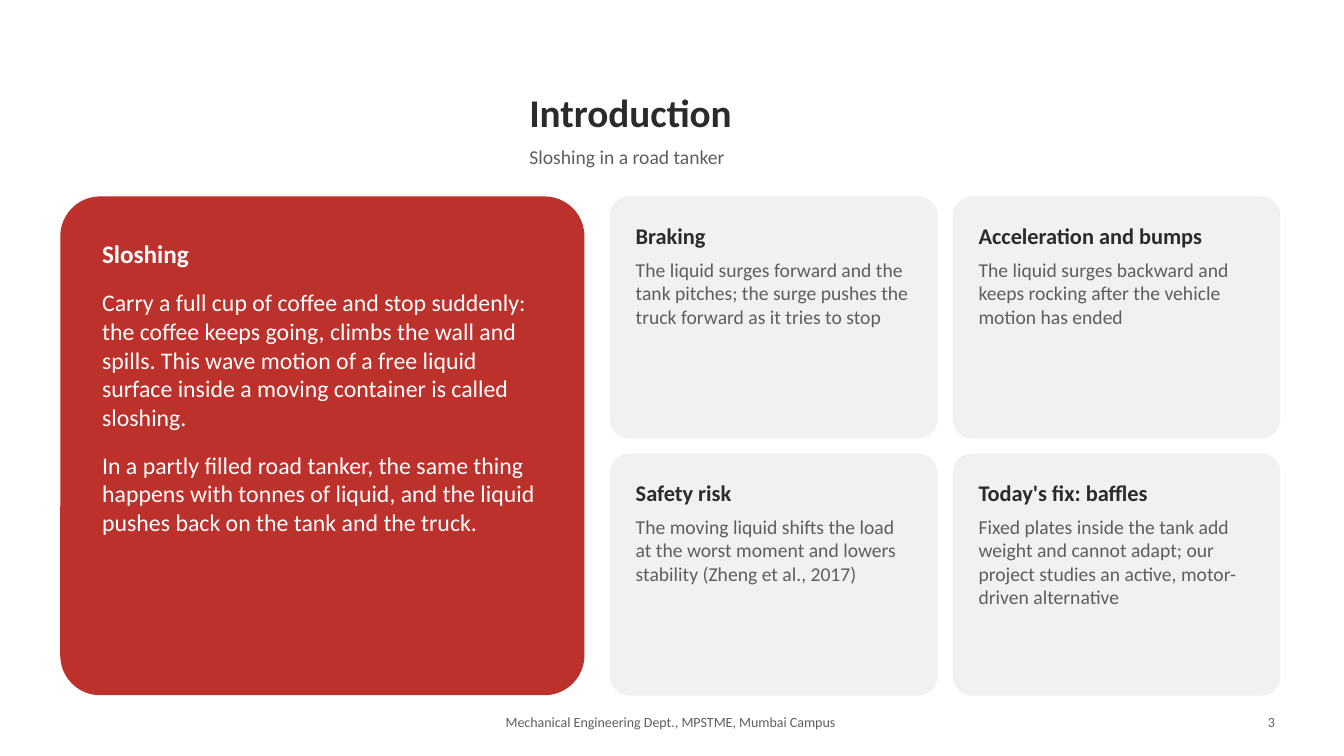
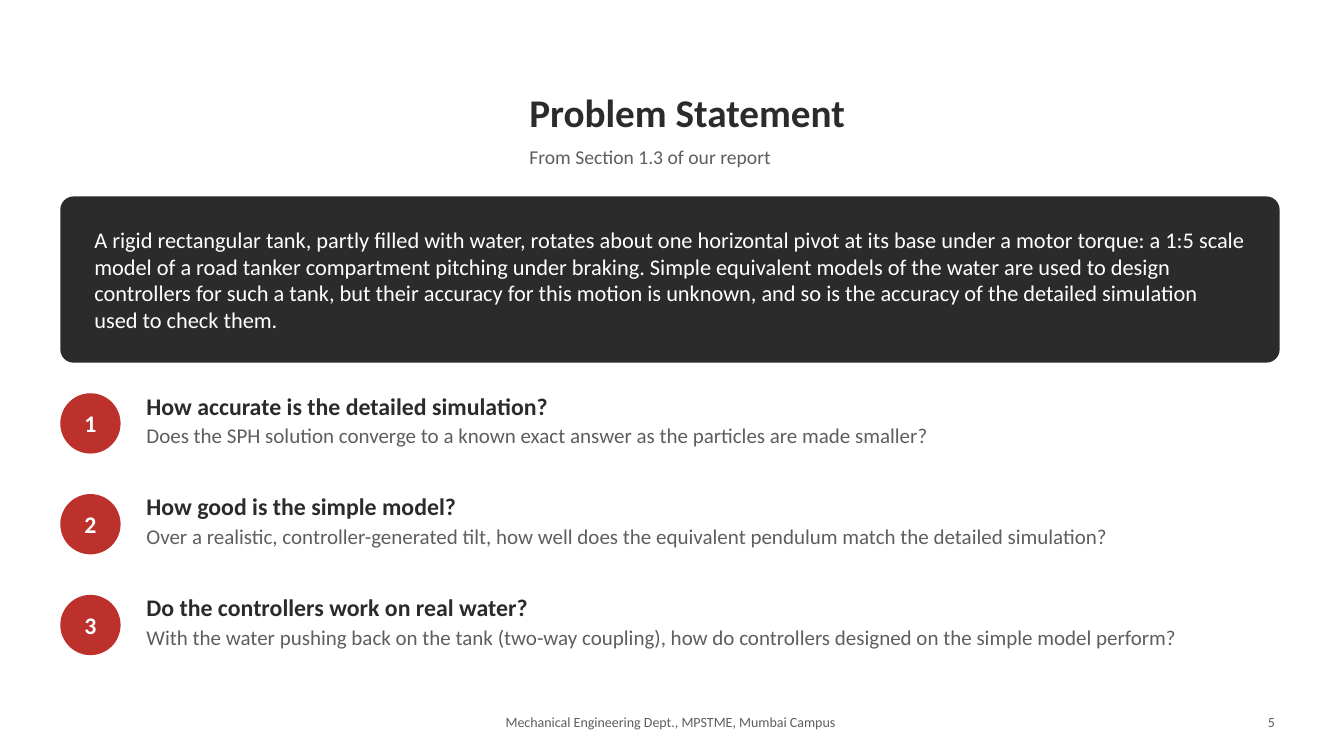
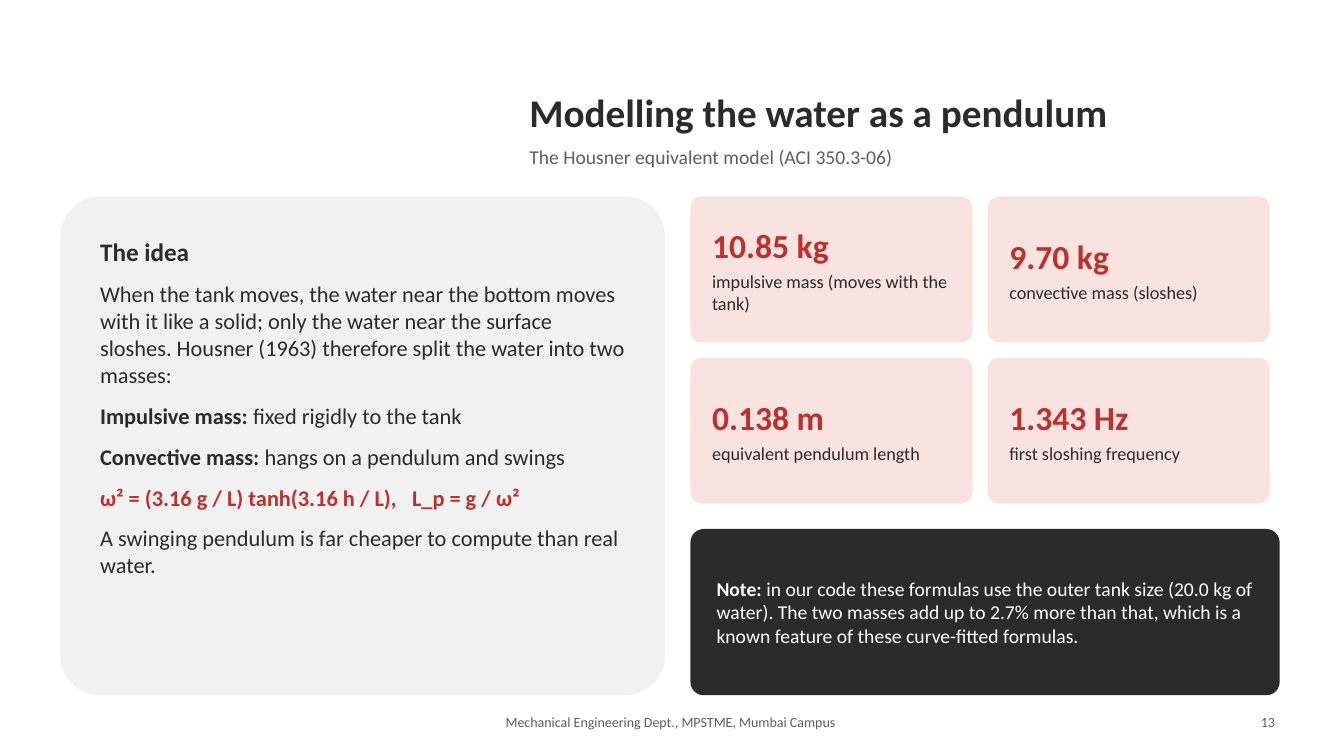
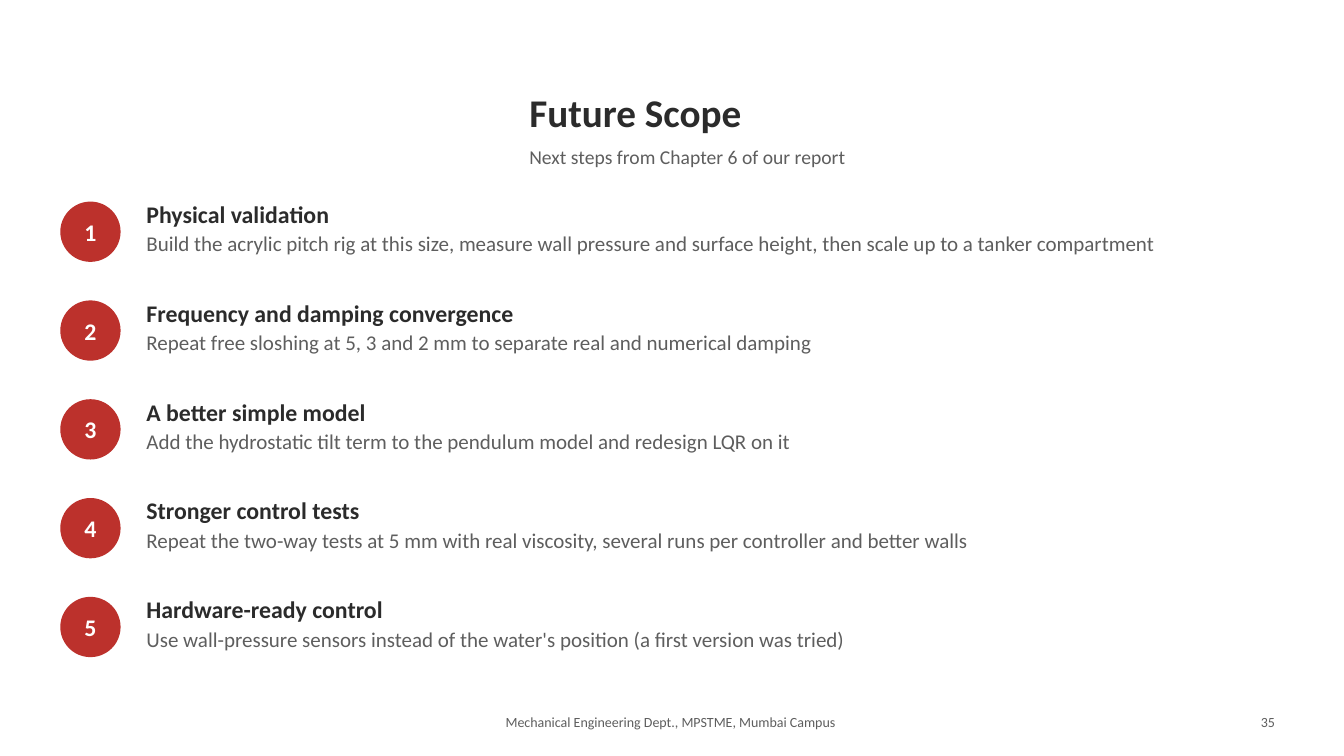
from lxml import etree
from pptx import Presentation
from pptx.dml.color import RGBColor
from pptx.enum.shapes import MSO_SHAPE as SHAPE
from pptx.enum.text import MSO_ANCHOR as ANCHOR, MSO_AUTO_SIZE as AUTO, PP_ALIGN as ALIGN
from pptx.oxml.ns import qn
from pptx.util import Cm, Pt

# Shared look
FONT = "Calibri"
RED = RGBColor(0xBC, 0x31, 0x2C)
PINK = RGBColor(0xF8, 0xE3, 0xE1)
DARK = RGBColor(0x2B, 0x2B, 0x2B)
GREY = RGBColor(0x5E, 0x5E, 0x5E)
LIGHT = RGBColor(0xF1, 0xF1, 0xF1)
WHITE = RGBColor(0xFF, 0xFF, 0xFF)
FOOTER = "Mechanical Engineering Dept., MPSTME, Mumbai Campus"

# Shared layout, in centimetres
LEFT, TOP = 1.52, 4.95
WIDTH, HEIGHT = 30.73, 12.57
TITLE_LEFT, TITLE_WIDTH = 13.21, 19.69
GAP = 0.38
BANNER_HEIGHT = 4.19
CIRCLE = 1.52


# Text
def add_text(tf, text, size=16, color=DARK, bold=False, align=ALIGN.LEFT,
             after=6, lead="", tab=None):
    """Add a paragraph; lead is a bold opening, tab a stop in centimetres."""
    p = tf.paragraphs[0]
    if p.runs:
        p = tf.add_paragraph()
    p.alignment = align
    p.space_after = Pt(after)
    if tab:
        stops = etree.SubElement(p._p.get_or_add_pPr(), qn("a:tabLst"))
        etree.SubElement(stops, qn("a:tab"), pos=str(Cm(tab)), algn="l")
    for part, heavy in ((lead, True), (text, bold)):
        if part:
            r = p.add_run()
            r.text = part
            r.font.name, r.font.size = FONT, Pt(size)
            r.font.bold, r.font.color.rgb = heavy, color


def set_frame(tf, inset, anchor):
    tf.word_wrap = True
    tf.vertical_anchor = anchor
    tf.margin_left = tf.margin_right = Cm(inset)
    tf.margin_top = tf.margin_bottom = Cm(inset)
    return tf


def add_box(s, x, y, w, h, anchor=ANCHOR.TOP):
    sp = s.shapes.add_textbox(Cm(x), Cm(y), Cm(w), Cm(h))
    tf = set_frame(sp.text_frame, 0.13, anchor)
    tf.auto_size = AUTO.SHAPE_TO_FIT_TEXT
    return tf


# Filled shapes
def add_filled(s, kind, x, y, w, h, fill, inset, anchor):
    sp = s.shapes.add_shape(kind, Cm(x), Cm(y), Cm(w), Cm(h))
    sp.shadow.inherit = False
    sp.fill.solid()
    sp.fill.fore_color.rgb = fill
    sp.line.fill.background()
    set_frame(sp.text_frame, inset, anchor)
    return sp


def add_card(s, x, y, w, h, fill, inset, anchor=ANCHOR.TOP):
    sp = add_filled(s, SHAPE.ROUNDED_RECTANGLE, x, y, w, h, fill, inset, anchor)
    sp.adjustments[0] = 0.08
    return sp.text_frame


def add_card_grid(s, x, w, h, cards, fill, inset, head, body, after, anchor=ANCHOR.TOP):
    """Two columns of cards; head and body are the formats of their two texts."""
    for i, (title, text) in enumerate(cards):
        row, col = divmod(i, 2)
        tf = add_card(s, x + col * (w + GAP), TOP + row * (h + GAP), w, h,
                      fill, inset, anchor)
        add_text(tf, title, bold=True, after=after, **head)
        add_text(tf, text, after=after, **body)


def add_numbered_list(s, top, pitch, items):
    for i, (title, text) in enumerate(items):
        y = top + i * pitch
        sp = add_filled(s, SHAPE.OVAL, LEFT, y, CIRCLE, CIRCLE, RED, 0, ANCHOR.MIDDLE)
        add_text(sp.text_frame, str(i + 1), size=17, color=WHITE, bold=True,
                 align=ALIGN.CENTER, after=4)
        tf = add_box(s, 3.56, y - 0.18, 28.7, pitch)
        add_text(tf, title, size=17, bold=True, after=2)
        add_text(tf, text, size=15, color=GREY, after=2)


# Slide with title, subtitle and footer
def add_slide(prs, title, subtitle, number):
    s = prs.slides.add_slide(prs.slide_layouts[6])
    add_text(add_box(s, TITLE_LEFT, 2.03, TITLE_WIDTH, 1.57, ANCHOR.MIDDLE),
             title, size=28, bold=True)
    add_text(add_box(s, TITLE_LEFT, 3.51, TITLE_WIDTH, 0.97),
             subtitle, size=14, color=GREY)
    add_text(add_box(s, 8.13, 17.86, 17.53, 0.71),
             FOOTER, size=10, color=GREY, align=ALIGN.CENTER)
    add_text(add_box(s, 30.23, 17.86, 2.03, 0.71),
             str(number), size=10, color=GREY, align=ALIGN.RIGHT)
    return s


def introduction(prs):
    s = add_slide(prs, "Introduction", "Sloshing in a road tanker", 3)
    tf = add_card(s, LEFT, TOP, 13.21, HEIGHT, RED, 0.76)
    add_text(tf, "Sloshing", size=18, color=WHITE, bold=True, after=14)
    for text in (
        "Carry a full cup of coffee and stop suddenly: the coffee keeps going, climbs "
        "the wall and spills. This wave motion of a free liquid surface inside a moving "
        "container is called sloshing.",
        "In a partly filled road tanker, the same thing happens with tonnes of liquid, "
        "and the liquid pushes back on the tank and the truck.",
    ):
        add_text(tf, text, size=17, color=WHITE, after=14)
    add_card_grid(s, 15.37, 8.26, 6.1, [
        ("Braking", "The liquid surges forward and the tank pitches; the surge pushes "
                    "the truck forward as it tries to stop"),
        ("Acceleration and bumps", "The liquid surges backward and keeps rocking after "
                                   "the vehicle motion has ended"),
        ("Safety risk", "The moving liquid shifts the load at the worst moment and "
                        "lowers stability (Zheng et al., 2017)"),
        ("Today's fix: baffles", "Fixed plates inside the tank add weight and cannot "
                                 "adapt; our project studies an active, motor-driven "
                                 "alternative"),
    ], LIGHT, 0.51, dict(size=16), dict(size=14, color=GREY), 6)


def problem_statement(prs):
    s = add_slide(prs, "Problem Statement", "From Section 1.3 of our report", 5)
    tf = add_card(s, LEFT, TOP, WIDTH, BANNER_HEIGHT, DARK, 0.76, ANCHOR.MIDDLE)
    add_text(tf, "A rigid rectangular tank, partly filled with water, rotates about one "
                 "horizontal pivot at its base under a motor torque: a 1:5 scale model of "
                 "a road tanker compartment pitching under braking. Simple equivalent "
                 "models of the water are used to design controllers for such a tank, but "
                 "their accuracy for this motion is unknown, and so is the accuracy of the "
                 "detailed simulation used to check them.", color=WHITE, after=4)
    add_numbered_list(s, 9.91, 2.54, [
        ("How accurate is the detailed simulation?",
         "Does the SPH solution converge to a known exact answer as the particles are "
         "made smaller?"),
        ("How good is the simple model?",
         "Over a realistic, controller-generated tilt, how well does the equivalent "
         "pendulum match the detailed simulation?"),
        ("Do the controllers work on real water?",
         "With the water pushing back on the tank (two-way coupling), how do controllers "
         "designed on the simple model perform?"),
    ])


def pendulum_model(prs):
    s = add_slide(prs, "Modelling the water as a pendulum",
                  "The Housner equivalent model (ACI 350.3-06)", 13)
    # Idea panel
    tf = add_card(s, LEFT, TOP, 15.24, HEIGHT, LIGHT, 0.71)
    add_text(tf, "The idea", size=18, bold=True, after=10)
    add_text(tf, "When the tank moves, the water near the bottom moves with it like a "
                 "solid; only the water near the surface sloshes. Housner (1963) therefore "
                 "split the water into two masses:", after=10)
    add_text(tf, "fixed rigidly to the tank", lead="Impulsive mass: ", after=10)
    add_text(tf, "hangs on a pendulum and swings", lead="Convective mass: ", after=10)
    add_text(tf, "ω² = (3.16 g / L) tanh(3.16 h / L),\tL_p = g / ω²",
             color=RED, bold=True, after=10, tab=7.86)
    add_text(tf, "A swinging pendulum is far cheaper to compute than real water.", after=10)
    # Key values
    x = 17.4
    add_card_grid(s, x, 7.11, 3.68, [
        ("10.85 kg", "impulsive mass (moves with the tank)"),
        ("9.70 kg", "convective mass (sloshes)"),
        ("0.138 m", "equivalent pendulum length"),
        ("1.343 Hz", "first sloshing frequency"),
    ], PINK, 0.46, dict(size=24, color=RED), dict(size=13), 4, ANCHOR.MIDDLE)
    # Note
    tf = add_card(s, x, TOP + HEIGHT - BANNER_HEIGHT, LEFT + WIDTH - x, BANNER_HEIGHT,
                  DARK, 0.56, ANCHOR.MIDDLE)
    add_text(tf, "in our code these formulas use the outer tank size (20.0 kg of water). "
                 "The two masses add up to 2.7% more than that, which is a known feature "
                 "of these curve-fitted formulas.",
             lead="Note: ", size=14, color=WHITE, after=4)


def future_scope(prs):
    s = add_slide(prs, "Future Scope", "Next steps from Chapter 6 of our report", 35)
    add_numbered_list(s, 5.08, 2.49, [
        ("Physical validation",
         "Build the acrylic pitch rig at this size, measure wall pressure and surface "
         "height, then scale up to a tanker compartment"),
        ("Frequency and damping convergence",
         "Repeat free sloshing at 5, 3 and 2 mm to separate real and numerical damping"),
        ("A better simple model",
         "Add the hydrostatic tilt term to the pendulum model and redesign LQR on it"),
        ("Stronger control tests",
         "Repeat the two-way tests at 5 mm with real viscosity, several runs per "
         "controller and better walls"),
        ("Hardware-ready control",
         "Use wall-pressure sensors instead of the water's position (a first version "
         "was tried)"),
    ])


def main():
    prs = Presentation()
    prs.slide_width, prs.slide_height = Cm(33.87), Cm(19.05)
    introduction(prs)
    problem_statement(prs)
    pendulum_model(prs)
    future_scope(prs)
    prs.save("out.pptx")


if __name__ == "__main__":
    main()
